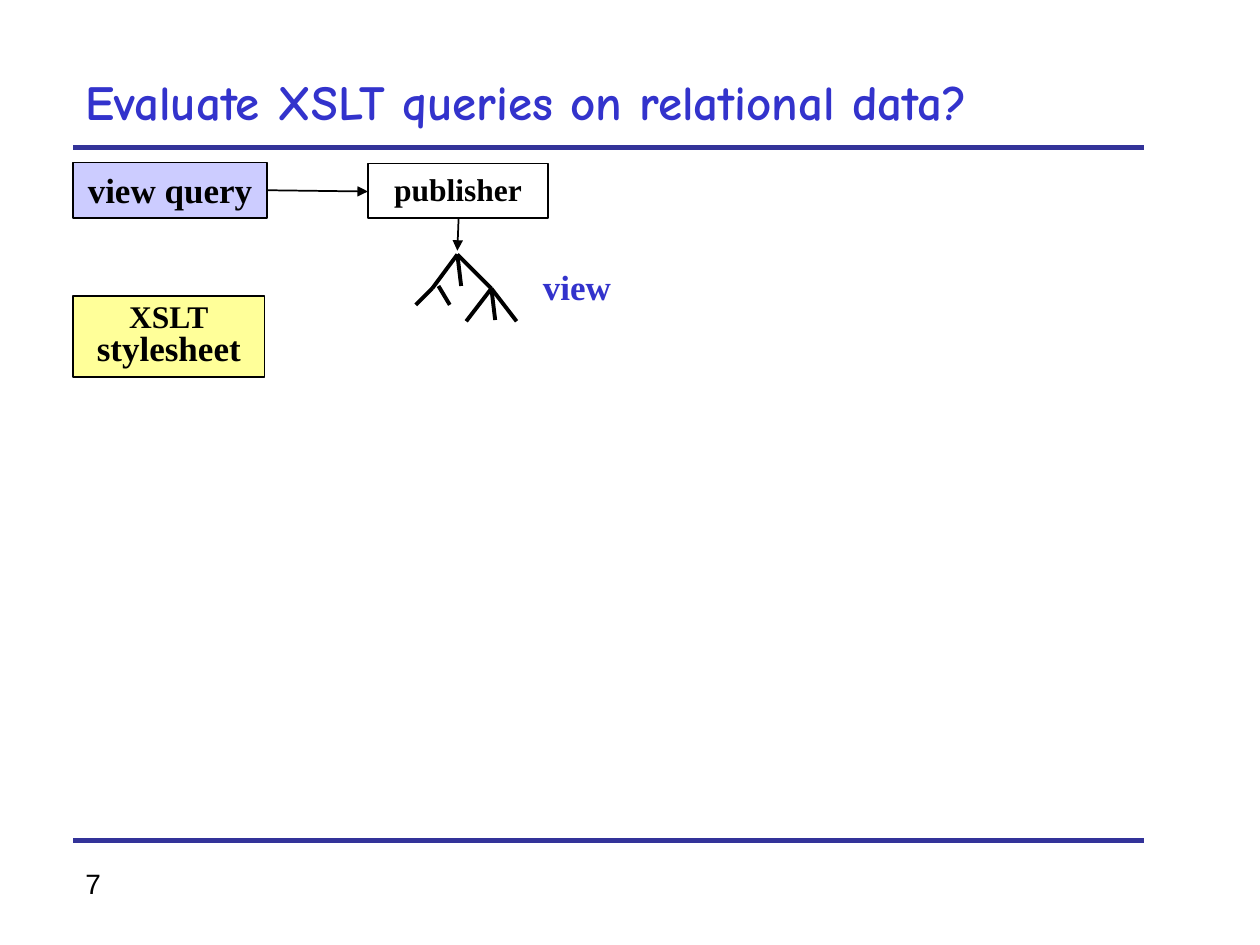
from lxml import etree
from pptx import Presentation
from pptx.dml.color import RGBColor
from pptx.enum.shapes import MSO_CONNECTOR, MSO_SHAPE
from pptx.enum.text import MSO_ANCHOR, PP_ALIGN
from pptx.oxml.ns import qn
from pptx.util import Inches, Pt

BLACK = RGBColor(0x00, 0x00, 0x00)
GRAY = RGBColor(0x80, 0x80, 0x80)
NAVY = RGBColor(0x33, 0x33, 0x99)
BLUE = RGBColor(0x33, 0x33, 0xCC)
LAVENDER = RGBColor(0xCC, 0xCC, 0xFF)
YELLOW = RGBColor(0xFF, 0xFF, 0x99)

RECT = MSO_SHAPE.RECTANGLE
STRAIGHT = MSO_CONNECTOR.STRAIGHT
LEFT, CENTER = PP_ALIGN.LEFT, PP_ALIGN.CENTER
TOP, MIDDLE = MSO_ANCHOR.TOP, MSO_ANCHOR.MIDDLE

COLS, ROWS = 100, 75


def add_text_shadow(r):
    fill = r.font.fill._xPr.find(qn("a:solidFill"))
    effects = etree.Element(qn("a:effectLst"))
    shadow = etree.SubElement(effects, qn("a:outerShdw"), dist="28575", dir="2700000")
    etree.SubElement(shadow, qn("a:srgbClr"), val=str(GRAY))
    fill.addnext(effects)


def write(sp, text, sizes=(20,), font="Times New Roman", color=BLACK, bold=True,
          align=CENTER, anchor=TOP, spacing=1.0, wrap=True, shadow=False):
    tf = sp.text_frame
    tf.word_wrap = wrap
    tf.vertical_anchor = anchor
    for i, (line, size) in enumerate(zip(text.split("\n"), sizes)):
        p = tf.add_paragraph() if i else tf.paragraphs[0]
        p.alignment = align
        p.line_spacing = spacing
        r = p.add_run()
        r.text = line
        r.font.name = font
        r.font.size = Pt(size)
        r.font.bold = bold
        r.font.color.rgb = color
        if shadow:
            add_text_shadow(r)


class Diagram:
    def __init__(self, prs):
        self.s = prs.slides.add_slide(prs.slide_layouts[6])
        self.col = prs.slide_width / COLS
        self.row = prs.slide_height / ROWS

    def place(self, *values):
        units = (self.col, self.row) * 2
        return [round(value * unit) for value, unit in zip(values, units)]

    def text(self, at, text, **style):
        write(self.s.shapes.add_textbox(*self.place(*at)), text, **style)

    def box(self, at, text, fill=None, width=0.75, **style):
        sp = self.s.shapes.add_shape(RECT, *self.place(*at))
        sp.shadow.inherit = False
        if fill is None:
            sp.fill.background()
        else:
            sp.fill.solid()
            sp.fill.fore_color.rgb = fill
        sp.line.color.rgb = BLACK
        sp.line.width = Pt(width)
        write(sp, text, **style)

    def line(self, start, end, color=BLACK, width=1.0, arrow=False):
        c = self.s.shapes.add_connector(STRAIGHT, *self.place(*start, *end))
        c.line.color.rgb = color
        c.line.width = Pt(width)
        etree.SubElement(c._element.spPr, qn("a:effectLst"))
        if arrow:
            etree.SubElement(c.line._get_or_add_ln(), qn("a:tailEnd"), type="triangle")

    def tree(self, branches):
        for start, end in branches:
            self.line(start, end, width=2.25)


def main():
    prs = Presentation()
    prs.slide_width, prs.slide_height = Inches(10), Inches(7.5)
    d = Diagram(prs)

    d.text((5.8, 68.3, 24.3, 3.7), "7", sizes=(16,), font="Arial", bold=False, align=LEFT)
    for y in (11.7, 66.7):
        d.line((5.8, y), (90.8, y), color=NAVY, width=3.25)
    d.text((5.8, 5, 85.8, 6.7), "Evaluate XSLT queries on relational data?", sizes=(28,),
           font="Comic Neue", color=BLUE, align=LEFT, anchor=MIDDLE, spacing=0.85,
           shadow=True)

    d.box((29.2, 13, 14.3, 4.3), "publisher", sizes=(18,), wrap=False)
    d.box((5.8, 23.5, 15.2, 6.4), "XSLT\nstylesheet", fill=YELLOW, width=1,
          sizes=(18, 20), anchor=MIDDLE, spacing=0.8, wrap=False)
    d.box((5.8, 12.9, 15.4, 4.4), "view query", fill=LAVENDER)

    d.line((36.4, 17.3), (36.3, 19.9), arrow=True)
    d.line((21.2, 15.1), (29.2, 15.2), arrow=True)

    root, left, right = (36.3, 20.2), (34.3, 22.9), (39, 22.9)
    d.tree([
        (root, left), (root, right), (root, (36.6, 22.7)),
        (left, (33, 24.2)), ((34.8, 22.7), (35.7, 24.2)),
        (right, (37, 25.5)), (right, (39.3, 25.4)), (right, (41, 25.5)),
    ])
    d.text((41.6, 20.6, 8.4, 4.4), "view", color=BLUE)

    prs.save("out.pptx")


if __name__ == "__main__":
    main()
